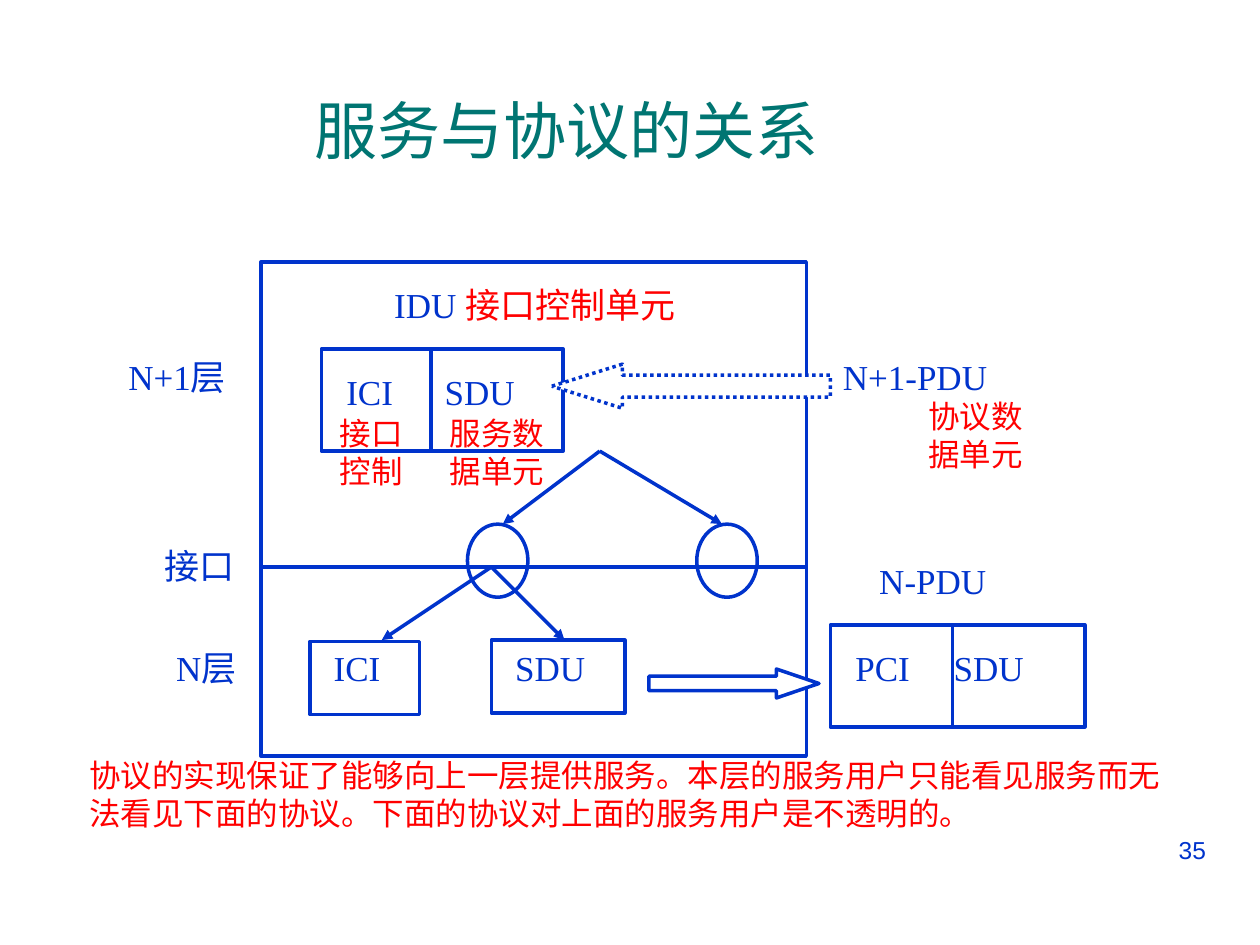
from typing import NamedTuple

from pptx import Presentation
from pptx.dml.color import RGBColor
from pptx.enum.dml import MSO_LINE
from pptx.enum.shapes import MSO_CONNECTOR, MSO_SHAPE as SHAPE
from pptx.enum.text import MSO_AUTO_SIZE, PP_ALIGN
from pptx.oxml.ns import qn
from pptx.util import Inches, Pt
from lxml.etree import SubElement

BLUE, RED, TEAL, WHITE = "0033CC", "FF0000", "007572", "FFFFFF"
SERIF, SANS = "Times New Roman", "Arial"


class Box(NamedTuple):
    kind: int
    x: float
    y: float
    w: float
    h: float
    head: float = 0  # arrowhead length relative to arrow height
    dotted: bool = False


class Line(NamedTuple):
    x1: float
    y1: float
    x2: float
    y2: float
    arrow: bool = False


class Label(NamedTuple):
    x: float
    y: float
    w: float
    h: float
    runs: list[tuple[str, str]]  # text, colour
    size: float = 20
    font: str = SERIF
    align: int = PP_ALIGN.LEFT
    tab: float = 0


def color(value: str) -> RGBColor:
    return RGBColor.from_string(value)


def style_line(line) -> None:
    line.color.rgb = color(BLUE)
    line.width = Pt(2)


def draw_box(s, b: Box) -> None:
    sp = s.shapes.add_shape(b.kind, *map(Inches, (b.x, b.y, b.w, b.h)))
    sp.shadow.inherit = False
    sp.fill.solid()
    sp.fill.fore_color.rgb = color(WHITE)
    style_line(sp.line)
    if b.head:
        sp.adjustments[0], sp.adjustments[1] = 0.5, b.head
    if b.dotted:
        sp.line.dash_style = MSO_LINE.ROUND_DOT


def draw_line(s, l: Line) -> None:
    ends = map(Inches, (l.x1, l.y1, l.x2, l.y2))
    cn = s.shapes.add_connector(MSO_CONNECTOR.STRAIGHT, *ends)
    style_line(cn.line)
    if l.arrow:
        SubElement(cn.line._get_or_add_ln(), qn("a:tailEnd"), type="triangle")
    SubElement(cn._element.spPr, qn("a:effectLst"))


def draw_label(s, t: Label) -> None:
    sp = s.shapes.add_textbox(*map(Inches, (t.x, t.y, t.w, t.h)))
    tf = sp.text_frame
    tf.word_wrap = True
    tf.auto_size = MSO_AUTO_SIZE.SHAPE_TO_FIT_TEXT
    p = tf.paragraphs[0]
    p.alignment = t.align
    if t.tab:
        tabs = SubElement(p._p.get_or_add_pPr(), qn("a:tabLst"))
        SubElement(tabs, qn("a:tab"), pos=str(Inches(t.tab)), algn="l")
    p.font.size, p.font.name = Pt(t.size), t.font
    for text, shade in t.runs:
        r = p.add_run()
        r.text = text
        r.font.color.rgb = color(shade)


def term(x: float, y: float, w: float, text: str, tab: float = 0) -> Label:
    return Label(x, y, w, 0.44, [(text, BLUE)], tab=tab)


def note(x: float, y: float, w: float, text: str) -> Label:
    return Label(x, y, w, 0.7, [(text, RED)], 18, SANS)


# Layer frame, service access points, data units and transfer arrows
LEFT, RIGHT, INTERFACE = 2.07, 6.4, 4.5
BOXES = [
    Box(SHAPE.RECTANGLE, LEFT, 2.08, RIGHT - LEFT, 3.92),
    *(Box(SHAPE.OVAL, x, 4.16, 0.48, 0.58) for x in (3.71, 5.53)),
    Box(SHAPE.RECTANGLE, 2.55, 2.77, 1.92, 0.81),
    Box(SHAPE.RECTANGLE, 2.46, 5.09, 0.87, 0.58),
    Box(SHAPE.RECTANGLE, 3.9, 5.08, 1.06, 0.58),
    Box(SHAPE.RECTANGLE, 6.59, 4.96, 2.02, 0.81),
    Box(SHAPE.RIGHT_ARROW, 5.15, 5.31, 1.35, 0.23, head=1.47),
    Box(SHAPE.LEFT_ARROW, 4.38, 2.89, 2.21, 0.35, head=1.6, dotted=True),
]

# Interface, cell dividers and branching arrows
LINES = [
    Line(LEFT, INTERFACE, RIGHT, INTERFACE),
    *(Line(x, y, x, y + 0.81) for x, y in ((3.42, 2.77), (7.56, 4.96))),
    *(Line(4.76, 3.58, x, 4.16, True) for x in (3.99, 5.73)),
    *(Line(3.9, INTERFACE, x, 5.08, True) for x in (3.03, 4.48)),
]

LABELS = [
    Label(2.4, 0.68, 4.96, 0.7, [("服务与协议的关系", TEAL)], 36, SANS),
    # Layer names
    term(0.92, 2.77, 1.44, "N+1层"),
    term(1.21, 4.27, 1.44, "接口"),
    term(1.3, 5.08, 1.64, "N层"),
    # Data units
    Label(3.03, 2.2, 2.6, 0.44, [("IDU ", BLUE), ("接口控制单元", RED)]),
    term(2.65, 2.89, 2.41, "ICI\tSDU", tab=0.78),
    term(2.55, 5.08, 1.92, "ICI"),
    term(3.99, 5.08, 0.96, "SDU"),
    term(6.69, 5.08, 2.31, "PCI\tSDU", tab=0.78),
    term(6.88, 4.39, 1.73, "N-PDU"),
    term(6.59, 2.77, 2.02, "N+1-PDU"),
    # Explanations
    note(2.6, 3.24, 0.87, "接口控制"),
    note(3.47, 3.24, 1.01, "服务数据单元"),
    note(7.27, 3.1, 1.06, "协议数据单元"),
    note(0.61, 5.95, 8.7, "协议的实现保证了能够向上一层提供服务。本层的服务用户只能看见服务而无"
         "法看见下面的协议。下面的协议对上面的服务用户是不透明的。"),
    # Slide number
    Label(7.17, 6.58, 2.5, 0.52, [("35", BLUE)], 14, SANS, PP_ALIGN.RIGHT),
]


def main() -> None:
    prs = Presentation()
    prs.slide_width, prs.slide_height = Inches(10), Inches(7.5)
    s = prs.slides.add_slide(prs.slide_layouts[6])
    for box in BOXES:
        draw_box(s, box)
    for line in LINES:
        draw_line(s, line)
    for label in LABELS:
        draw_label(s, label)
    prs.save("out.pptx")


if __name__ == "__main__":
    main()
